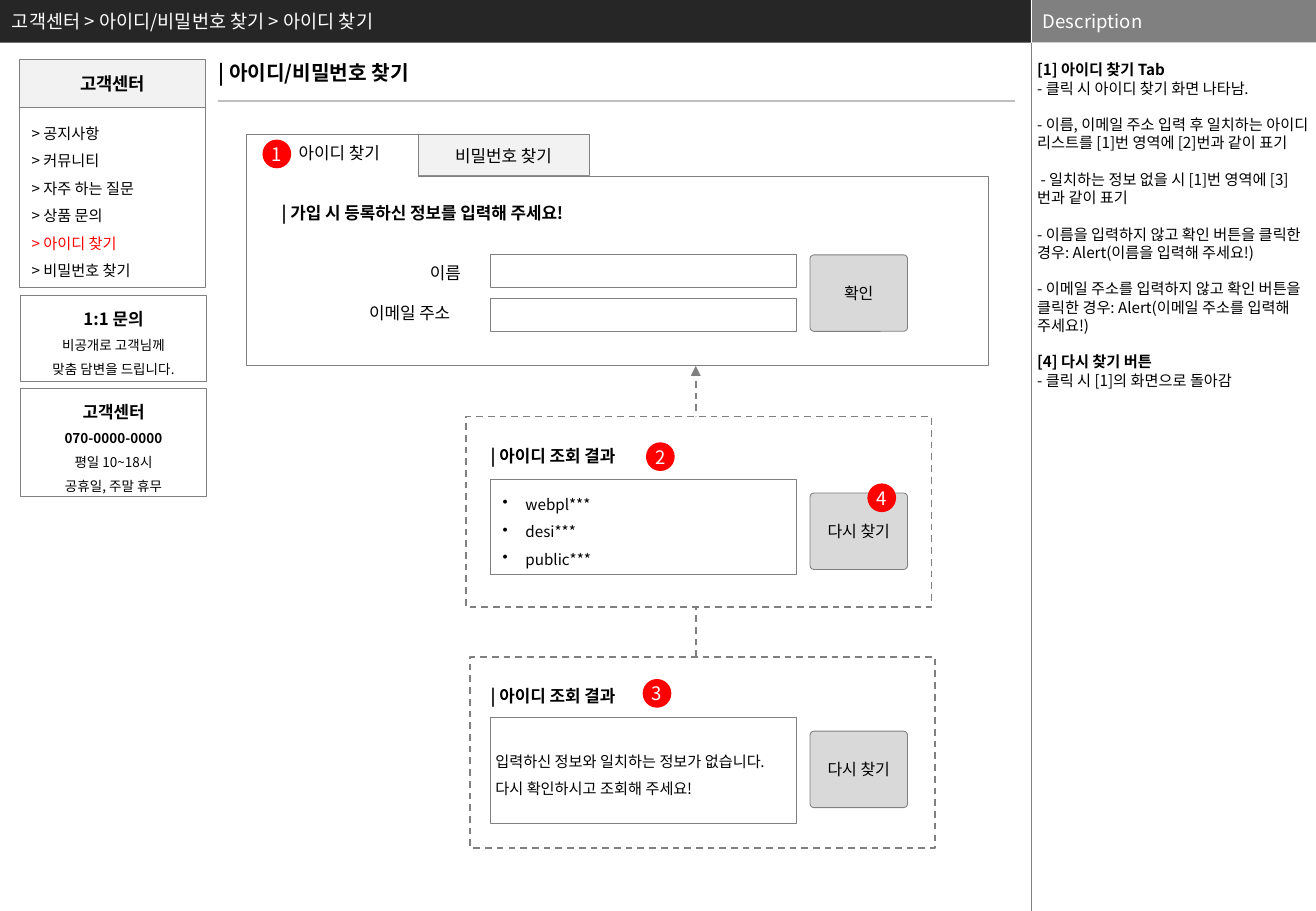
"""Build the wireframe slide for the find-ID screen of a customer center."""
from lxml.etree import SubElement
from pptx import Presentation
from pptx.dml.color import RGBColor
from pptx.enum.dml import MSO_LINE
from pptx.enum.shapes import MSO_CONNECTOR, MSO_SHAPE
from pptx.enum.text import MSO_ANCHOR, MSO_AUTO_SIZE, PP_ALIGN
from pptx.oxml.ns import qn
from pptx.util import Cm, Pt

FONT = "Noto Sans CJK KR"
COLORS = {
    "black": "000000", "white": "FFFFFF", "red": "FF0000", "bar": "262626",
    "gray": "808080", "rule": "BFBFBF", "pale": "F2F2F2", "button": "D9D9D9",
}


def write_text(sp, lines, size=9, color="black", bold=False, align=PP_ALIGN.LEFT,
               anchor=MSO_ANCHOR.MIDDLE, spacing=None, inset=(0.25, 0.13), bullet=None):
    """Fill a shape with lines, each a string or a (string, overrides) pair."""
    tf = sp.text_frame
    tf.word_wrap = True
    tf.auto_size = MSO_AUTO_SIZE.NONE
    tf.vertical_anchor = anchor
    tf.margin_left = tf.margin_right = Cm(inset[0])
    tf.margin_top = tf.margin_bottom = Cm(inset[1])
    for i, line in enumerate(lines):
        text, own = (line, {}) if isinstance(line, str) else line
        p = tf.paragraphs[0] if i == 0 else tf.add_paragraph()
        p.alignment = align
        p.space_before = Pt(own.get("before", 0))
        if spacing:
            p.line_spacing = spacing
        if bullet:
            pPr = p._p.get_or_add_pPr()
            pPr.set("marL", str(Cm(0.48)))
            pPr.set("indent", str(-Cm(0.48)))
            SubElement(pPr, qn("a:buChar")).set("char", bullet)
        r = p.add_run()
        r.text = text
        r.font.name = FONT
        r.font.size = Pt(own.get("size", size))
        r.font.bold = own.get("bold", bold)
        r.font.color.rgb = RGBColor.from_string(COLORS[own.get("color", color)])
        SubElement(r._r.get_or_add_rPr(), qn("a:ea")).set("typeface", FONT)


def add_box(x, y, w, h, fill=None, line="gray", weight=0.5, dash=False,
            kind=MSO_SHAPE.RECTANGLE, adj=()):
    """Add a preset shape placed in centimetres."""
    sp = s.shapes.add_shape(kind, Cm(x), Cm(y), Cm(w), Cm(h))
    sp.shadow.inherit = False
    for i, value in enumerate(adj):
        sp.adjustments[i] = value
    if fill:
        sp.fill.solid()
        sp.fill.fore_color.rgb = RGBColor.from_string(COLORS[fill])
    else:
        sp.fill.background()
    if line:
        sp.line.color.rgb = RGBColor.from_string(COLORS[line])
        sp.line.width = Pt(weight)
        if dash:
            sp.line.dash_style = MSO_LINE.DASH
    else:
        sp.line.fill.background()
    return sp


prs = Presentation()
prs.slide_width, prs.slide_height = Cm(27.52), Cm(19.05)
s = prs.slides.add_slide(prs.slide_layouts[5])

title = s.shapes.title
title.left, title.top, title.width, title.height = Cm(0), Cm(0), Cm(21.56), Cm(0.89)
title.fill.solid()
title.fill.fore_color.rgb = RGBColor.from_string(COLORS["bar"])
write_text(title, ["고객센터 > 아이디/비밀번호 찾기 > 아이디 찾기"], size=11, color="white")
write_text(add_box(21.56, 0, 5.96, 0.89, "gray", None), ["Description"],
           size=11, color="white")

for x1, y1, x2, y2, color, weight in [
    (21.56, 0, 21.56, 0.89, "white", 0.25),
    (21.56, 0.89, 21.56, 19.05, "gray", 0.25),
    (4.55, 2.11, 21.23, 2.11, "rule", 0.75),
    (14.55, 13.74, 14.55, 7.65, "gray", 1),
]:
    flow = s.shapes.add_connector(MSO_CONNECTOR.STRAIGHT, Cm(x1), Cm(y1), Cm(x2), Cm(y2))
    flow.line.color.rgb = RGBColor.from_string(COLORS[color])
    flow.line.width = Pt(weight)
    SubElement(flow._element.spPr, qn("a:effectLst"))
flow.line.dash_style = MSO_LINE.DASH
SubElement(flow.line._get_or_add_ln(), qn("a:tailEnd")).set("type", "triangle")

add_box(9.75, 8.71, 9.73, 3.99, "white", weight=1, dash=True)
add_box(9.83, 13.74, 9.73, 3.99, weight=1, dash=True)
write_text(add_box(8.74, 2.82, 3.58, 0.86, "pale"), ["비밀번호 찾기"],
           size=10, align=PP_ALIGN.CENTER)
outline = s.shapes.build_freeform(Cm(5.16), Cm(2.82))
outline.add_line_segments([(Cm(x), Cm(y)) for x, y in [
    (8.75, 2.82), (8.75, 3.68), (20.68, 3.68), (20.68, 7.65), (5.16, 7.65)]])
panel = outline.convert_to_shape()
panel.shadow.inherit = False
panel.fill.solid()
panel.fill.fore_color.rgb = RGBColor.from_string(COLORS["white"])
panel.line.color.rgb = RGBColor.from_string(COLORS["gray"])
panel.line.width = Pt(0.5)
write_text(add_box(5.33, 2.82, 3.53, 0.76, line=None), ["아이디 찾기"],
           size=10, align=PP_ALIGN.CENTER)

for x, y, w, text, size, bold in [
    (4.32, 1.14, 7, "| 아이디/비밀번호 찾기", 12, True),
    (5.64, 4.11, 7.5, "| 가입 시 등록하신 정보를 입력해 주세요!", 10, True),
    (8.74, 5.36, 1.5, "이름", 10, False),
    (7.47, 6.2, 2.6, "이메일 주소", 10, False),
    (10.01, 9.19, 3.48, "| 아이디 조회 결과", 10, True),
    (10.01, 14.2, 3.48, "| 아이디 조회 결과", 10, True),
]:
    tb = s.shapes.add_textbox(Cm(x), Cm(y), Cm(w), Cm(0.7))
    write_text(tb, [text], size=size, bold=bold, anchor=MSO_ANCHOR.TOP)

for y in (5.33, 6.25):
    add_box(10.26, y, 6.4, 0.69)
write_text(add_box(10.26, 10.03, 6.4, 1.98, "white"),
           ["webpl***", "desi***", "public***"], spacing=1.5, bullet="•")
write_text(add_box(10.26, 15.01, 6.4, 2.21),
           ["입력하신 정보와 일치하는 정보가 없습니다.", "다시 확인하시고 조회해 주세요!"],
           spacing=1.5, inset=(0.1, 0.1))

for y, text in [(5.33, "확인"), (10.31, "다시 찾기"), (15.29, "다시 찾기")]:
    button = add_box(16.94, y, 2.04, 1.6, "button", kind=MSO_SHAPE.ROUNDED_RECTANGLE,
                     adj=(0.052,))
    write_text(button, [text], size=9.5, align=PP_ALIGN.CENTER, inset=(0.13, 0.13))

for number, x, y in [(1, 5.49, 2.92), (2, 13.51, 9.25), (3, 13.44, 14.2), (4, 18.14, 10.11)]:
    badge = add_box(x, y, 0.6, 0.6, "red", None, kind=MSO_SHAPE.OVAL)
    write_text(badge, [str(number)], size=11, color="white", align=PP_ALIGN.CENTER,
               inset=(0, 0))

write_text(add_box(0.41, 2.24, 3.89, 3.78),
           ["> 공지사항", "> 커뮤니티", "> 자주 하는 질문", "> 상품 문의",
            ("> 아이디 찾기", {"color": "red"}), "> 비밀번호 찾기"], spacing=1.5)
write_text(add_box(0.41, 1.24, 3.89, 1, "pale"), ["고객센터"],
           size=10.5, bold=True, align=PP_ALIGN.CENTER)
head = {"size": 10, "bold": True}
for y, h, lines in [
    (6.17, 1.8, [("1:1 문의", head), "비공개로 고객님께", "맞춤 담변을 드립니다."]),
    (8.13, 2.26, [("고객센터", head), ("070-0000-0000", {"bold": True}),
                  "평일 10~18시", "공휴일, 주말 휴무"]),
]:
    write_text(add_box(0.43, y, 3.89, h), lines, size=8, align=PP_ALIGN.CENTER,
               spacing=1.5, inset=(0.1, 0.1))

gap = {"before": 10.8}
notes = s.shapes.add_textbox(Cm(21.59), Cm(1.27), Cm(5.93), Cm(17.78))
write_text(notes, [
    ("[1] 아이디 찾기 Tab", {"bold": True}),
    "- 클릭 시 아이디 찾기 화면 나타남.",
    ("- 이름, 이메일 주소 입력 후 일치하는 아이디 리스트를 [1]번 영역에 [2]번과 같이 표기", gap),
    (" - 일치하는 정보 없을 시 [1]번 영역에 [3]번과 같이 표기", gap),
    ("- 이름을 입력하지 않고 확인 버튼을 클릭한 경우: Alert(이름을 입력해 주세요!)", gap),
    ("- 이메일 주소를 입력하지 않고 확인 버튼을 클릭한 경우: Alert(이메일 주소를 입력해 주세요!)", gap),
    ("[4] 다시 찾기 버튼", {"bold": True, **gap}),
    "- 클릭 시 [1]의 화면으로 돌아감",
], anchor=MSO_ANCHOR.TOP, inset=(0.1, 0))

prs.save("out.pptx")
